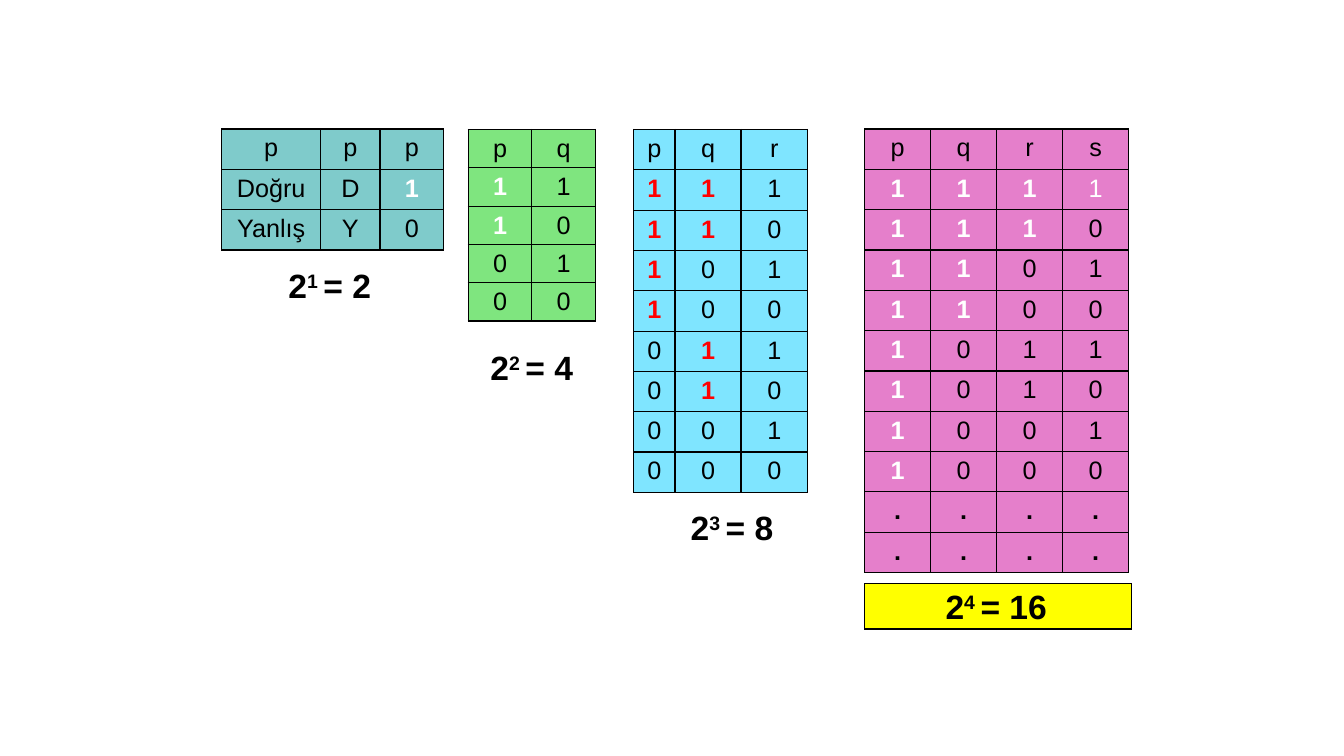
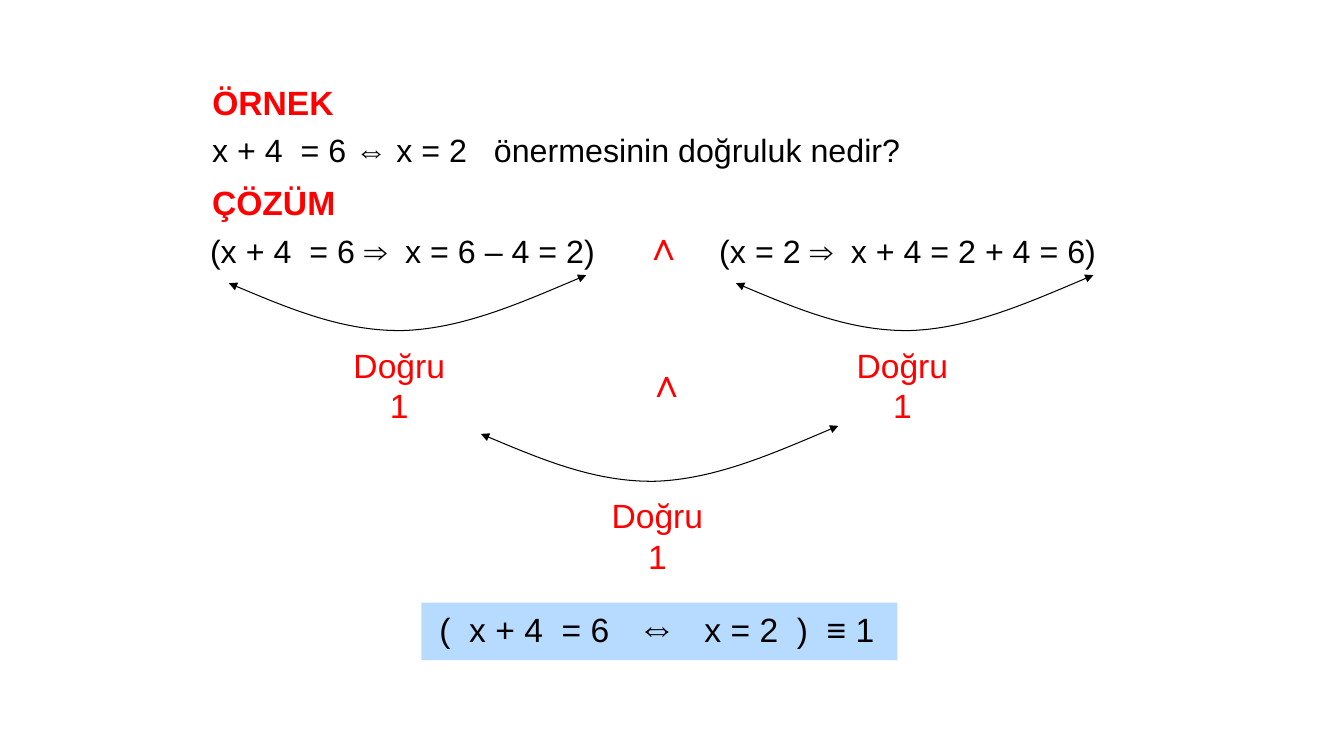
import itertools

import lxml.etree
import pptx
import pptx.dml.color
import pptx.enum.shapes
import pptx.enum.text
import pptx.oxml
import pptx.oxml.ns
import pptx.util


class Theme:
    font = "Arial"
    black, white, red = "000000", "FFFFFF", "FF0000"
    teal, green, cyan, pink = "009999", "00CC00", "00CCFF", "CC0099"
    yellow, blue = "FFFF00", "99CCFF"
    cell, formula, body, symbol = 18, 23, 24, 28
    border, arc = 0.96, 0.75


prs = pptx.Presentation()
prs.slide_width = pptx.util.Inches(13.33)
prs.slide_height = pptx.util.Inches(7.5)
UNIT = prs.slide_height / 75
CENTER = pptx.enum.text.PP_ALIGN.CENTER
LEFT = pptx.enum.text.PP_ALIGN.LEFT
qn = pptx.oxml.ns.qn
rgb = pptx.dml.color.RGBColor.from_string


def paint(fill, color, percent):
    fill.solid()
    fill.fore_color.rgb = rgb(color)
    if percent < 100:
        clr = fill._xPr.find(qn("a:solidFill")).find(qn("a:srgbClr"))
        lxml.etree.SubElement(clr, qn("a:alpha")).set("val", str(percent * 1000))


def write(sp, lines, size, color, bold=False, align=LEFT):
    tf = sp.text_frame
    tf.word_wrap = False
    tf.auto_size = pptx.enum.text.MSO_AUTO_SIZE.SHAPE_TO_FIT_TEXT
    tf.vertical_anchor = pptx.enum.text.MSO_ANCHOR.TOP
    tf.text = "\n".join(lines)
    for p in tf.paragraphs:
        p.alignment = align
        for r in p.runs:
            r.font.name = Theme.font
            r.font.size = pptx.util.Pt(size)
            r.font.bold = bold
            r.font.color.rgb = rgb(color)
    return tf


s = prs.slides.add_slide(prs.slide_layouts[6])

truth = {n: ["pqrs"[:n], *itertools.product("10", repeat=n)] for n in (2, 3, 4)}
tables = [
    (22, 12.8, [9.8, 5.9, 6.3], 4, Theme.teal, 50, Theme.white, [2],
     ["ppp", ("Doğru", "D", "1"), ("Yanlış", "Y", "0")]),
    (46.45, 12.85, [6.3, 6.3], 3.8, Theme.green, 50, Theme.white, [0], truth[2]),
    (62.85, 12.85, [4.1, 6.55, 6.6], 4, Theme.cyan, 50, Theme.red, [0, 1], truth[3]),
    (85.75, 12.8, [6.55, 6.55, 6.55, 6.55], 4, Theme.pink, 50, Theme.white, [0, 1, 2],
     truth[4][:9] + ["....", "...."]),
    (85.75, 57.9, [26.5], 4.5, Theme.yellow, 100, Theme.black, [], [("",)]),
]
for x, y, widths, height, color, opacity, accent, accent_cols, rows in tables:
    box = [round(v * UNIT) for v in (x, y, sum(widths), height * len(rows))]
    tbl = s.shapes.add_table(len(rows), len(widths), *box).table
    tbl.first_row = tbl.horz_banding = False
    for col, width in zip(tbl.columns, widths):
        col.width = round(width * UNIT)
    for i, row in enumerate(rows):
        tbl.rows[i].height = round(height * UNIT)
        for j, value in enumerate(row):
            cell = tbl.cell(i, j)
            cell.margin_bottom = pptx.util.Inches(0.04)
            paint(cell.fill, color, opacity)
            tcPr = cell._tc.get_or_add_tcPr()
            for k, side in enumerate(("lnL", "lnR", "lnT", "lnB")):
                tcPr.insert(k, pptx.oxml.parse_xml(
                    f'<a:{side} {pptx.oxml.ns.nsdecls("a")} w="{pptx.util.Pt(Theme.border)}">'
                    f'<a:solidFill><a:srgbClr val="{Theme.black}"/></a:solidFill></a:{side}>'))
            p = cell.text_frame.paragraphs[0]
            p.text = value
            p.alignment = CENTER
            after_zero = len(row) == 4 and "0" in row[:j]
            marked = value == "1" and j in accent_cols and not after_zero
            all_ones = len(row) == 4 and set(row) == {"1"}
            p.font.name = Theme.font
            p.font.size = pptx.util.Pt(Theme.cell)
            for r in p.runs:
                r.font.name = Theme.font
                r.font.size = pptx.util.Pt(Theme.cell)
                r.font.bold = marked or value == "."
                r.font.color.rgb = rgb(accent if marked or all_ones else Theme.black)

powers = [(22.1, 25.8, 21.2), (46.45, 33.9, 12.6), (63.15, 49.8, 18.9), (86.2, 57.65, 25.2)]
for n, (x, y, w) in enumerate(powers, 1):
    sp = s.shapes.add_textbox(*[round(v * UNIT) for v in (x, y, w, 5)])
    p = sp.text_frame.paragraphs[0]
    for part in ("2", f"{n} ", f"= {2 ** n}"):
        r = p.add_run()
        r.text = part
        r.font.name = Theme.font
        r.font.size = pptx.util.Pt(Theme.body)
        r.font.bold = True
        r.font.color.rgb = rgb(Theme.black)
    p.runs[1]._r.get_or_add_rPr().set("baseline", "30000")
    p.alignment = CENTER
    sp.text_frame.word_wrap = True

s = prs.slides.add_slide(prs.slide_layouts[5])

band = s.shapes.add_shape(pptx.enum.shapes.MSO_SHAPE.RECTANGLE,
                          *[round(v * UNIT) for v in (41.8, 59.8, 47.2, 5.7)])
band.shadow.inherit = False
band.line.fill.background()
paint(band.fill, Theme.blue, 70)

title = s.shapes.title
title.left, title.top, title.width, title.height = [
    round(v * UNIT) for v in (20.05, 7.6, 14.9, 5)]
write(title, ["ÖRNEK"], Theme.body, Theme.red, True)

labels = [
    (20.05, 12.45, 70.5, 4.8, "x + 4  = 6 ⇔ x = 2   önermesinin doğruluk nedir?",
     Theme.formula, Theme.black, False, LEFT),
    (20.05, 17.6, 15.1, 5, "ÇÖZÜM", Theme.body, Theme.red, True, LEFT),
    (19.85, 22.45, 41, 4.8, "(x + 4  = 6 ⇒  x = 6 – 4 = 2)",
     Theme.formula, Theme.black, False, LEFT),
    (70.35, 22.45, 40.2, 4.8, "(x = 2 ⇒  x + 4 = 2 + 4 = 6)",
     Theme.formula, Theme.black, False, LEFT),
    (62.9, 21.45, 4.3, 5.7, "∧", Theme.symbol, Theme.red, True, CENTER),
    (63.2, 35.1, 4.3, 5.7, "∧", Theme.symbol, Theme.red, True, CENTER),
]
for x, y, w, h, text, size, color, bold, align in labels:
    sp = s.shapes.add_textbox(*[round(v * UNIT) for v in (x, y, w, h)])
    write(sp, [text], size, color, bold, align)

sp = s.shapes.add_textbox(*[round(v * UNIT) for v in (42.6, 59.4, 45.4, 5.7)])
tf = write(sp, ["(  x + 4  = 6   "], Theme.body, Theme.black)
for text, size, bold in (("⇔", Theme.symbol, True), ("   x = 2  )  ≡ 1", Theme.body, False)):
    r = tf.paragraphs[0].add_run()
    r.text = text
    r.font.name = Theme.font
    r.font.size = pptx.util.Pt(size)
    r.font.bold = bold
    r.font.color.rgb = rgb(Theme.black)

arc = [(0, 0.8), (5.7, 3.2), (11.4, 5.6), (17.3, 5.5), (23.2, 5.3), (29.3, 2.6), (35.45, 0)]
for x, y, label_x in ((22.7, 27.3, 33.9), (73, 27.3, 83.8), (47.7, 42.25, 59.5)):
    points = [(round((x + dx) * UNIT), round((y + dy) * UNIT)) for dx, dy in arc]
    builder = s.shapes.build_freeform(*points[0])
    builder.add_line_segments(points[1:], close=False)
    sp = builder.convert_to_shape()
    outline = next(sp._element.iter(qn("a:path")))
    segments = outline.findall(qn("a:lnTo"))
    for k in range(0, len(segments), 3):
        curve = lxml.etree.SubElement(outline, qn("a:cubicBezTo"))
        for segment in segments[k:k + 3]:
            curve.append(segment[0])
            outline.remove(segment)
    sp.shadow.inherit = False
    sp.fill.background()
    sp.line.color.rgb = rgb(Theme.black)
    sp.line.width = pptx.util.Pt(Theme.arc)
    ln = sp.line._get_or_add_ln()
    for end in ("a:headEnd", "a:tailEnd"):
        lxml.etree.SubElement(ln, qn(end)).set("type", "triangle")
    sp = s.shapes.add_textbox(*[round(v * UNIT) for v in (label_x, y + 6.4, 11.4, 9)])
    write(sp, ["Doğru", "1"], Theme.body, Theme.red, align=CENTER)

prs.save("out.pptx")
